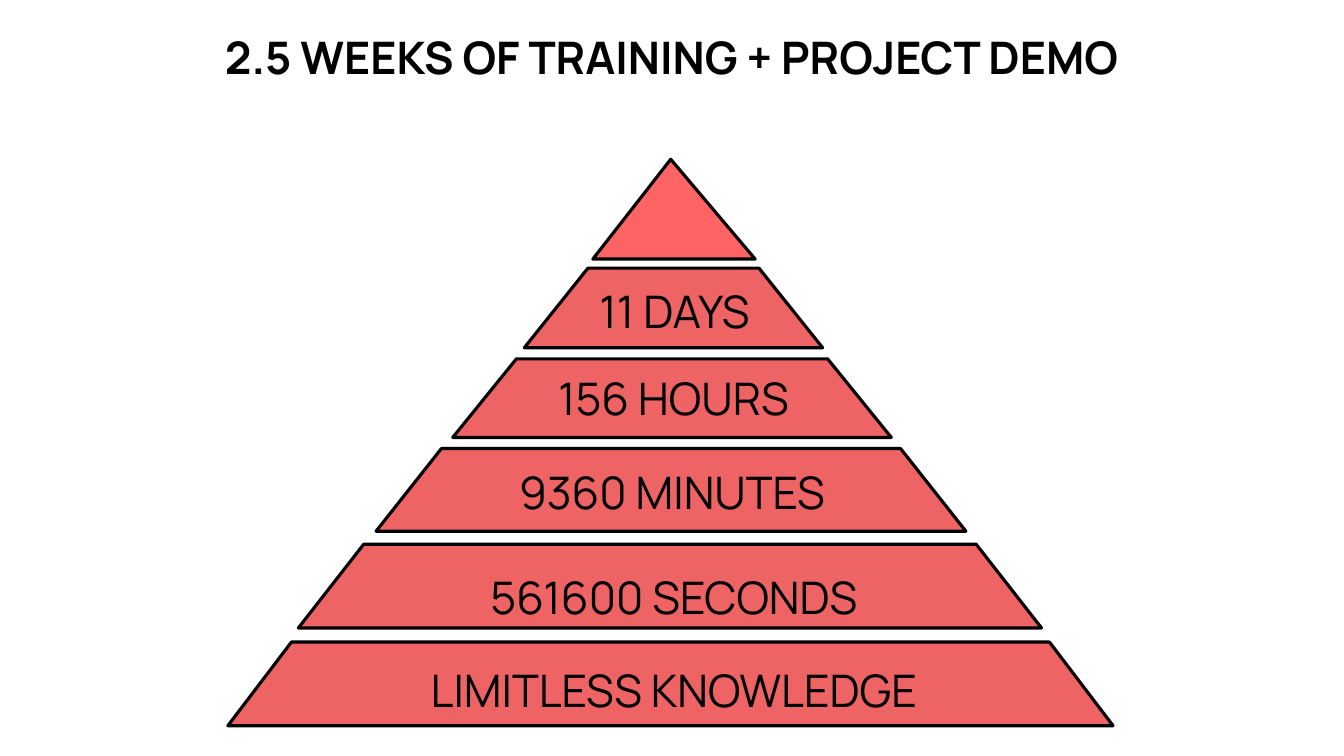
from typing import NamedTuple

from pptx import Presentation
from pptx.dml.color import RGBColor
from pptx.enum.shapes import MSO_SHAPE
from pptx.enum.text import MSO_ANCHOR, PP_ALIGN
from pptx.util import Inches, Pt

TRAP = MSO_SHAPE.TRAPEZOID
PEAK = MSO_SHAPE.ISOSCELES_TRIANGLE
TOP = MSO_ANCHOR.TOP
MID = MSO_ANCHOR.MIDDLE
CENTER = PP_ALIGN.CENTER
BLACK = "000000"
CORAL = "EE6464"
FONT = {"name": "Manrope", "size": Pt(32)}


class Box(NamedTuple):
    left: float
    top: float
    width: float
    height: float


class Tier(NamedTuple):
    box: Box
    slant: float
    kind: int = TRAP
    fill: str = CORAL


class Label(NamedTuple):
    text: str
    box: Box
    anchor: int = TOP
    inset: tuple[float, float] = (0.1, 0.05)
    pitch: float = 1.0
    bold: bool = False


TIERS = [
    Tier(Box(5.88, 1.58, 1.61, 0.99), 0.48, PEAK, "FF6464"),
    Tier(Box(5.2, 2.66, 2.96, 0.79), 0.8),
    Tier(Box(4.49, 3.56, 4.35, 0.78), 0.81),
    Tier(Box(3.73, 4.45, 5.85, 0.82), 0.79),
    Tier(Box(2.96, 5.4, 7.37, 0.83), 0.78),
    Tier(Box(2.26, 6.37, 8.78, 0.83), 0.76),
]

LABELS = [
    Label("2.5 WEEKS OF TRAINING + PROJECT DEMO", Box(0, 0.24, 13.33, 1.26),
          TOP, (0, 0), 1.1, True),
    Label("11 DAYS", Box(5.48, 2.77, 2.42, 0.64)),
    Label("156 HOURS", Box(5.2, 3.63, 2.96, 0.64)),
    Label("9360 MINUTES", Box(4.49, 4.56, 4.35, 0.64)),
    Label("561600 SECONDS", Box(1.79, 5.2, 9.79, 1.38), MID, (0, 0), 1.1),
    Label("LIMITLESS KNOWLEDGE", Box(1.79, 6.12, 9.79, 1.38), MID, (0, 0), 1.1),
]


def color(code: str) -> RGBColor:
    return RGBColor.from_string(code)


def draw_tier(slide, tier: Tier) -> None:
    shape = slide.shapes.add_shape(tier.kind, *map(Inches, tier.box))
    shape.adjustments[0] = tier.slant
    shape.shadow.inherit = False
    shape.fill.solid()
    shape.fill.fore_color.rgb = color(tier.fill)
    shape.line.color.rgb = color(BLACK)
    shape.line.width = Pt(2.25)


def draw_label(slide, label: Label) -> None:
    frame = slide.shapes.add_textbox(*map(Inches, label.box)).text_frame
    side, edge = map(Inches, label.inset)
    form = {"word_wrap": True, "vertical_anchor": label.anchor,
            "margin_left": side, "margin_right": side,
            "margin_top": edge, "margin_bottom": edge}
    for key, value in form.items():
        setattr(frame, key, value)
    para = frame.paragraphs[0]
    para.alignment = CENTER
    para.line_spacing = label.pitch
    run = para.add_run()
    run.text = label.text
    for key, value in {**FONT, "bold": label.bold}.items():
        setattr(run.font, key, value)
    run.font.color.rgb = color(BLACK)


def main() -> None:
    deck = Presentation()
    deck.slide_width = Inches(13.33)
    deck.slide_height = Inches(7.5)
    slide = deck.slides.add_slide(deck.slide_layouts[6])
    for tier in TIERS:
        draw_tier(slide, tier)
    for label in LABELS:
        draw_label(slide, label)
    deck.save("out.pptx")


if __name__ == "__main__":
    main()
